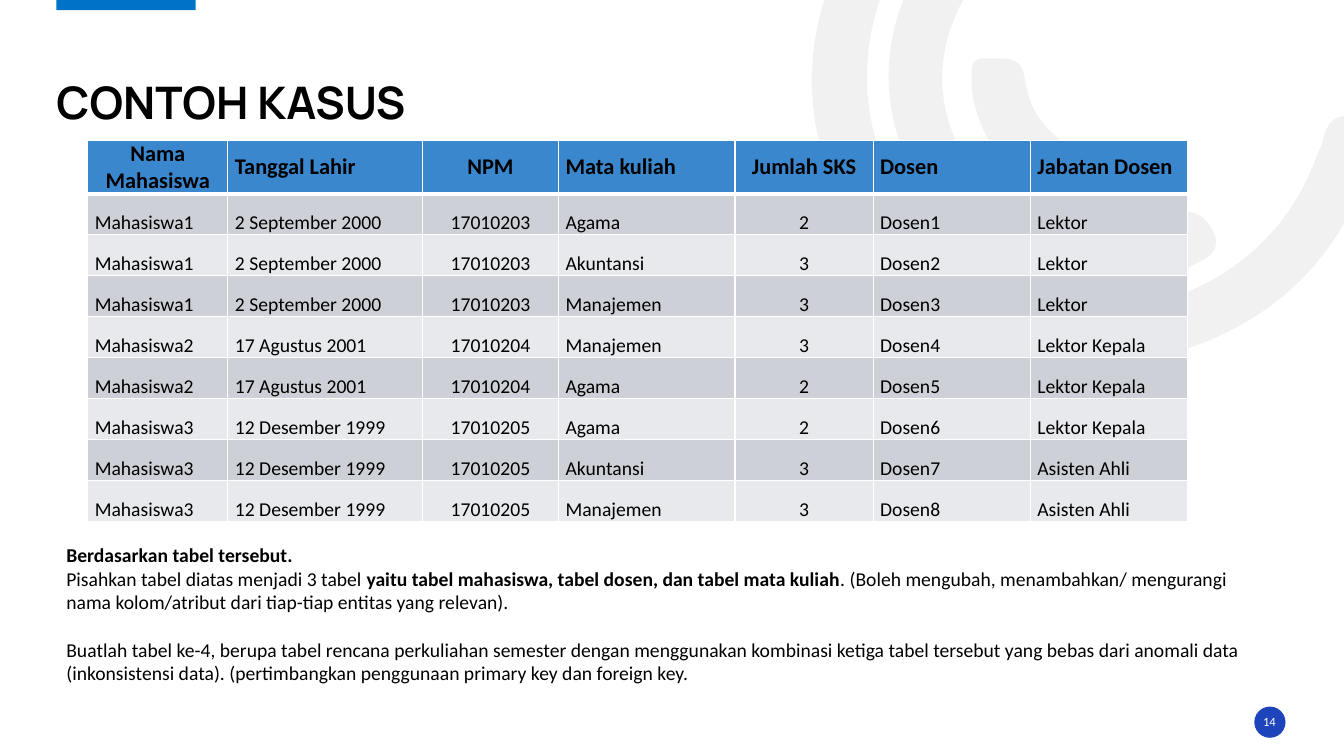
from dataclasses import dataclass
from typing import NamedTuple

from lxml.etree import SubElement
from pptx import Presentation
from pptx.dml.color import RGBColor
from pptx.enum.shapes import MSO_SHAPE as Preset
from pptx.enum.text import MSO_ANCHOR as Anchor, MSO_AUTO_SIZE as AutoSize, PP_ALIGN as Align
from pptx.oxml.ns import qn
from pptx.util import Inches, Pt

COLORS = {
    "black": "000000", "white": "FFFFFF", "ornament": "E7E6E6", "accent": "0072C7",
    "badge": "1E44BC", "header": "3B87CD", "odd_row": "CDD1D7", "even_row": "E8E9EC",
}
ORNAMENT_OPACITY = 53
UNITS_PER_INCH = 100
ROW_HEIGHT = 3.25 / 8


class Box(NamedTuple):
    left: float
    top: float
    width: float
    height: float

    def lengths(self):
        return [Inches(value) for value in self]


class Phrase(NamedTuple):
    text: str
    bold: bool = False


@dataclass
class Label:
    box: Box
    paragraphs: list[list[Phrase]]
    size: int
    font: str = "Calibri"
    color: str = "black"
    align: Align = Align.LEFT
    anchor: Anchor = Anchor.TOP
    margins: tuple[float, float] = (0, 0)
    line_spacing: float = 1.0
    auto_size: AutoSize = AutoSize.NONE


@dataclass
class Column:
    title: str
    width: float
    title_align: Align = Align.LEFT
    value_align: Align = Align.LEFT


@dataclass
class Marker:
    preset: Preset
    box: Box
    color: str


ORNAMENTS = [
    [(8.51, 2.29), (7.99, 1.49), (7.87, 0.5), (8.38, -0.5), (8.9, -1.52), (9.76, -2.03),
     (10.9, -2.07), (11.05, -2.07), (11.21, -2.1), (11.31, -1.95), (11.44, -1.75),
     (11.27, -1.54), (10.98, -1.54), (9.67, -1.54), (8.65, -0.59), (8.6, 0.68),
     (8.56, 1.81), (9.36, 2.81), (10.46, 3.02), (11.6, 3.24), (12.7, 2.61), (13.07, 1.52),
     (13.09, 1.48), (13.11, 1.44), (13.12, 1.4), (13.16, 1.19), (13.27, 1.11),
     (13.49, 1.17), (13.73, 1.24), (13.67, 1.41), (13.61, 1.56), (13.34, 2.45),
     (12.78, 3.07), (11.91, 3.41), (10.7, 3.87), (9.36, 3.45), (8.51, 2.29)],
    [(9.22, 1.99), (8.62, 1.15), (8.69, 0.07), (9.4, -0.68), (9.51, -0.79), (9.62, -0.95),
     (9.8, -0.78), (9.95, -0.64), (9.97, -0.5), (9.79, -0.32), (9.25, 0.26), (9.2, 1.08),
     (9.65, 1.68), (10.08, 2.29), (10.88, 2.49), (11.61, 2.15), (11.82, 2.05),
     (11.93, 2.12), (12.03, 2.29), (12.13, 2.5), (11.97, 2.56), (11.83, 2.63),
     (10.96, 3.1), (9.83, 2.82), (9.22, 1.99)],
    [(9.87, 1.51), (9.75, 1.3), (9.64, 1.07), (9.64, 0.82), (9.64, 0.73), (9.61, 0.57),
     (9.76, 0.58), (9.92, 0.59), (10.13, 0.53), (10.16, 0.76), (10.21, 1.1), (10.36, 1.32),
     (10.67, 1.48), (10.88, 1.57), (10.76, 1.76), (10.72, 1.89), (10.68, 2.06),
     (10.55, 1.98), (10.45, 1.94), (10.21, 1.87), (10.03, 1.7), (9.87, 1.51)],
]
MARKERS = [
    Marker(Preset.RECTANGLE, Box(0.56, -0.02, 1.38, 0.12), "accent"),
    Marker(Preset.OVAL, Box(12.44, 7.01, 0.31, 0.31), "badge"),
]
LABELS = [
    Label(Box(12.43, 7.06, 0.32, 0.2), [[Phrase("14")]], 9, color="white",
          align=Align.CENTER, anchor=Anchor.MIDDLE),
    Label(Box(0.56, 0.27, 12.19, 1.01), [[Phrase("CONTOH KASUS", True)]], 32,
          font="Manrope", anchor=Anchor.BOTTOM, line_spacing=0.9),
    Label(Box(0.56, 5.34, 11.86, 1.51), [
        [Phrase("Berdasarkan tabel tersebut.", True)],
        [Phrase("Pisahkan tabel diatas menjadi 3 tabel "),
         Phrase("yaitu tabel mahasiswa, tabel dosen, dan tabel mata kuliah", True),
         Phrase(". (Boleh mengubah, menambahkan/ mengurangi nama kolom/atribut dari "
                "tiap-tiap entitas yang relevan).")],
        [Phrase("Buatlah tabel ke-4, berupa tabel rencana perkuliahan semester dengan "
                "menggunakan kombinasi ketiga tabel tersebut yang bebas dari anomali data "
                "(inkonsistensi data). (pertimbangkan penggunaan primary key dan foreign key.")],
    ], 14, margins=(0.1, 0.05), auto_size=AutoSize.SHAPE_TO_FIT_TEXT),
]
COLUMNS = [
    Column("Nama Mahasiswa", 1.39, Align.CENTER),
    Column("Tanggal Lahir", 1.93),
    Column("NPM", 1.35, Align.CENTER, Align.CENTER),
    Column("Mata kuliah", 1.75),
    Column("Jumlah SKS", 1.37, Align.CENTER, Align.CENTER),
    Column("Dosen", 1.56),
    Column("Jabatan Dosen", 1.56),
]
STUDENTS = {
    "Mahasiswa1": ("2 September 2000", "17010203"),
    "Mahasiswa2": ("17 Agustus 2001", "17010204"),
    "Mahasiswa3": ("12 Desember 1999", "17010205"),
}
CREDITS = {"Agama": "2", "Akuntansi": "3", "Manajemen": "3"}
ENROLLMENTS = [
    ("Mahasiswa1", "Agama", "Lektor"),
    ("Mahasiswa1", "Akuntansi", "Lektor"),
    ("Mahasiswa1", "Manajemen", "Lektor"),
    ("Mahasiswa2", "Manajemen", "Lektor Kepala"),
    ("Mahasiswa2", "Agama", "Lektor Kepala"),
    ("Mahasiswa3", "Agama", "Lektor Kepala"),
    ("Mahasiswa3", "Akuntansi", "Asisten Ahli"),
    ("Mahasiswa3", "Manajemen", "Asisten Ahli"),
]


def paint(shape, color: str) -> None:
    shape.fill.solid()
    shape.fill.fore_color.rgb = RGBColor.from_string(COLORS[color])
    shape.line.fill.background()
    shape.shadow.inherit = False


def format_run(run, size: int, bold: bool, font: str = "Calibri", color: str = "black") -> None:
    run.font.name, run.font.size, run.font.bold = font, Pt(size), bold
    run.font.color.rgb = RGBColor.from_string(COLORS[color])


def bend_lines(shape) -> None:
    lines = list(shape._element.iter(qn("a:lnTo")))
    for start in range(0, len(lines), 3):
        first, *others = lines[start:start + 3]
        first.tag = qn("a:cubicBezTo")
        for line in others:
            first.append(line[0])
            line.getparent().remove(line)


def draw_ornament(slide, controls: list[tuple[float, float]]) -> None:
    points = [(round(x * UNITS_PER_INCH), round(y * UNITS_PER_INCH)) for x, y in controls]
    builder = slide.shapes.build_freeform(*points[0], scale=Inches(1) / UNITS_PER_INCH)
    builder.add_line_segments(points[1:], close=True)
    shape = builder.convert_to_shape()
    bend_lines(shape)
    paint(shape, "ornament")
    color = next(shape._element.spPr.iter(qn("a:srgbClr")))
    SubElement(color, qn("a:alpha"), val=str(ORNAMENT_OPACITY * 1000))


def draw_label(slide, label: Label) -> None:
    frame = slide.shapes.add_textbox(*label.box.lengths()).text_frame
    frame.word_wrap = True
    frame.auto_size = label.auto_size
    frame.vertical_anchor = label.anchor
    frame.margin_left = frame.margin_right = Inches(label.margins[0])
    frame.margin_top = frame.margin_bottom = Inches(label.margins[1])
    for index, phrases in enumerate(label.paragraphs):
        paragraph = frame.add_paragraph() if index else frame.paragraphs[0]
        paragraph.alignment = label.align
        paragraph.line_spacing = label.line_spacing
        paragraph.space_before = Pt(17 if index == 2 else 0)
        for phrase in phrases:
            run = paragraph.add_run()
            run.text = phrase.text
            format_run(run, label.size, phrase.bold, label.font, label.color)


def add_borders(cell, top: int, bottom: int) -> None:
    properties = cell._tc.get_or_add_tcPr()
    for side, width in (("L", 1), ("R", 1), ("T", top), ("B", bottom)):
        line = SubElement(properties, qn(f"a:ln{side}"), w=str(Pt(width)))
        SubElement(SubElement(line, qn("a:solidFill")), qn("a:srgbClr"), val=COLORS["white"])


def draw_table(slide, columns: list[Column], rows: list[list[str]]) -> None:
    box = Box(0.87, 1.39, sum(column.width for column in columns), ROW_HEIGHT * len(rows))
    table = slide.shapes.add_table(len(rows), len(columns), *box.lengths()).table
    for index, column in enumerate(columns):
        table.columns[index].width = Inches(column.width)
    for row_index, values in enumerate(rows):
        header = row_index == 0
        fill = "header" if header else "odd_row" if row_index % 2 else "even_row"
        table.rows[row_index].height = Inches(ROW_HEIGHT)
        for column_index, (column, value) in enumerate(zip(columns, values)):
            cell = table.cell(row_index, column_index)
            add_borders(cell, 3 if row_index == 1 else 1, 3 if header else 1)
            cell.fill.solid()
            cell.fill.fore_color.rgb = RGBColor.from_string(COLORS[fill])
            cell.vertical_anchor = Anchor.MIDDLE if header else Anchor.BOTTOM
            cell.margin_left = cell.margin_right = Inches(0.07)
            cell.margin_top = cell.margin_bottom = 0
            cell.text_frame.text = value
            paragraph = cell.text_frame.paragraphs[0]
            paragraph.alignment = column.title_align if header else column.value_align
            format_run(paragraph.runs[0], 16 if header else 14, header)


def main() -> None:
    presentation = Presentation()
    presentation.slide_width, presentation.slide_height = Inches(13.33), Inches(7.5)
    slide = presentation.slides.add_slide(presentation.slide_layouts[6])
    for controls in ORNAMENTS:
        draw_ornament(slide, controls)
    for marker in MARKERS:
        paint(slide.shapes.add_shape(marker.preset, *marker.box.lengths()), marker.color)
    for label in LABELS:
        draw_label(slide, label)
    rows = [[column.title for column in COLUMNS]]
    for number, (student, course, position) in enumerate(ENROLLMENTS, 1):
        rows.append([student, *STUDENTS[student], course, CREDITS[course], f"Dosen{number}", position])
    draw_table(slide, COLUMNS, rows)
    presentation.save("out.pptx")


if __name__ == "__main__":
    main()
